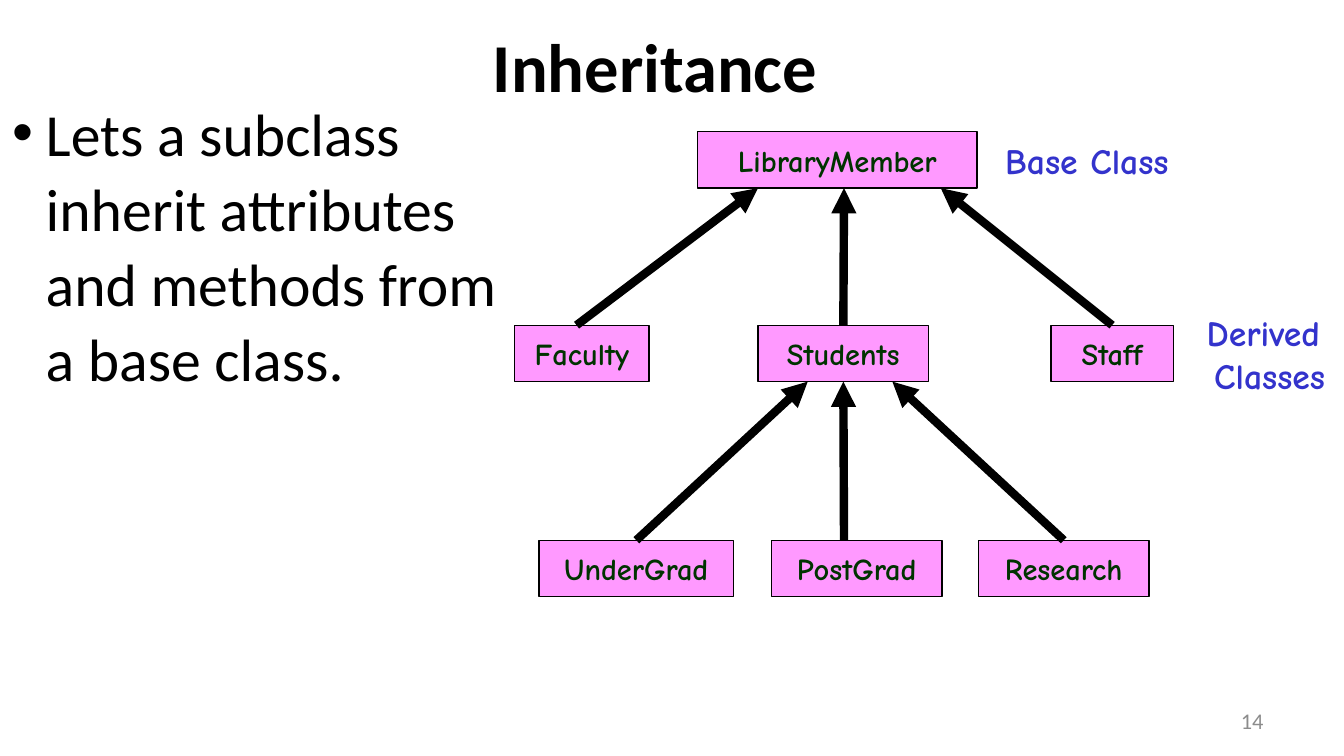
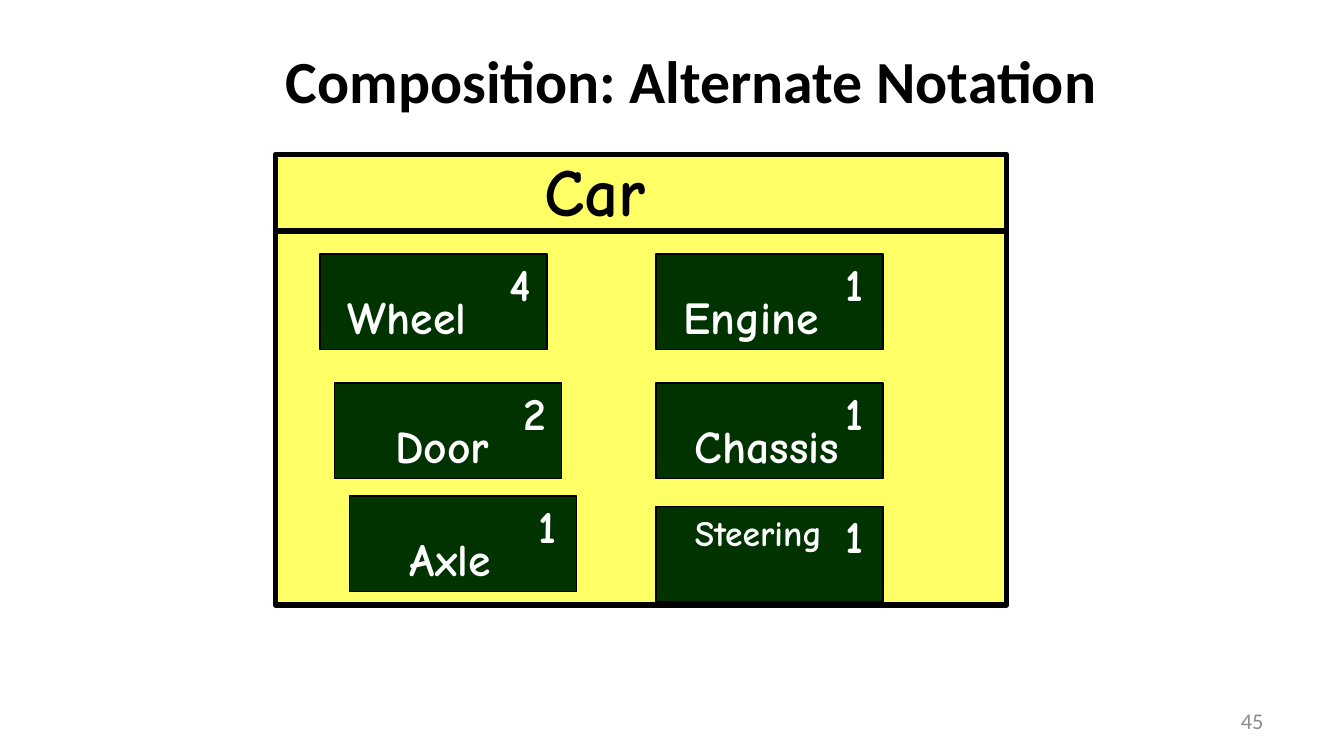
from lxml import etree
from pptx import Presentation
from pptx.dml.color import RGBColor
from pptx.enum.shapes import MSO_CONNECTOR, MSO_SHAPE
from pptx.enum.text import MSO_ANCHOR, MSO_AUTO_SIZE, PP_ALIGN
from pptx.oxml.ns import qn
from pptx.util import Inches, Pt

CENTER, RIGHT, LEFT = PP_ALIGN.CENTER, PP_ALIGN.RIGHT, PP_ALIGN.LEFT
MIDDLE, TOP = MSO_ANCHOR.MIDDLE, MSO_ANCHOR.TOP
RECTANGLE, STRAIGHT = MSO_SHAPE.RECTANGLE, MSO_CONNECTOR.STRAIGHT
NO_FIT = MSO_AUTO_SIZE.NONE

WIDTH = 10
HEIGHT = WIDTH * 9 / 16
BLACK, WHITE, GREY = "000000", "FFFFFF", "8C8C8C"
PINK, GREEN, BLUE, YELLOW = "FF99FF", "003300", "3333CC", "FFFF66"
HEADING, HAND = "Calibri", "Comic Neue"
NUMBER_AREA = (7.17, 5.21, 2.33, 0.3)
TIGHT = (0.01, 0.04, 0.01, 0.04)
NORMAL = (0.1, 0.05, 0.1, 0.05)
FLUSH = (0, 0, 0, 0)

INHERITANCE = "Inheritance"
DEFINITION = "Lets a subclass inherit attributes and methods from a base class."
LEVEL_TOPS = (0.98, 2.42, 4.02)
CLASS_HEIGHT = 0.42
CLASSES = [
    ("LibraryMember", 0, 5.19, 2.08),
    ("Faculty", 1, 3.83, 1),
    ("Students", 1, 5.64, 1.27),
    ("Staff", 1, 7.82, 0.91),
    ("UnderGrad", 2, 4.01, 1.45),
    ("PostGrad", 2, 5.74, 1.27),
    ("Research", 2, 7.28, 1.27),
]
LINKS = [
    ("Faculty", 4.29, "LibraryMember", 5.64),
    ("Students", None, "LibraryMember", 6.28),
    ("Staff", None, "LibraryMember", 7),
    ("UnderGrad", None, "Students", 6.01),
    ("PostGrad", 6.28, "Students", None),
    ("Research", None, "Students", 6.64),
]
CLASS_NOTES = [(" Base Class", 0, 7.54), ("Derived\n Classes", 1, 8.9)]

COMPOSITION = "Composition: Alternate Notation"
CAR = (2.05, 1.15, 5.44, 3.35)
CAR_DIVIDER = 1.72
PART_SIZE = (1.69, 0.71)
LABEL_OFFSET = (0.11, 0.29)
COUNT_OFFSET = (1.31, 0.04)
PARTS = [
    ("Wheel", "4", 2.38, 1.89, {}),
    ("Engine", "1", 4.88, 1.89, {}),
    ("Door", "2", 2.49, 2.85, {"indent": 0.24}),
    ("Chassis", "1", 4.88, 2.85, {"indent": 0.24, "offset": (-0.05, 0.29)}),
    ("Axle", "1", 2.6, 3.69, {"indent": 0.24}),
    ("Steering", "1", 4.88, 3.77, {"indent": 0.19, "offset": (0, 0.04), "size": 19.1}),
]


def color(value):
    return RGBColor.from_string(value)


def place(shape, area):
    shape.left, shape.top, shape.width, shape.height = map(Inches, area)


def write(shape, text, font=HAND, size=16.3, fill=BLACK, bold=True, align=LEFT,
          anchor=TOP, insets=NORMAL, wrap=True, line=None, before=None):
    frame = shape.text_frame
    frame.auto_size = NO_FIT
    frame.word_wrap = wrap
    frame.vertical_anchor = anchor
    (frame.margin_left, frame.margin_top,
     frame.margin_right, frame.margin_bottom) = map(Inches, insets)
    frame.text = text
    for para in frame.paragraphs:
        para.alignment = align
        if line:
            para.line_spacing = line
        if before is not None:
            para.space_before = Pt(before)
        for span in para.runs:
            span.font.name = font
            span.font.size = Pt(size)
            span.font.bold = bold
            span.font.color.rgb = color(fill)
    return shape


def add_text(page, area, text, **style):
    return write(page.shapes.add_textbox(*map(Inches, area)), text, **style)


def add_box(page, area, fill, weight=0.75):
    box = page.shapes.add_shape(RECTANGLE, *map(Inches, area))
    box.shadow.inherit = False
    box.fill.solid()
    box.fill.fore_color.rgb = color(fill)
    box.line.color.rgb = color(BLACK)
    box.line.width = Pt(weight)
    return box


def add_line(page, start, end, weight, arrow=False):
    link = page.shapes.add_connector(STRAIGHT, *map(Inches, (*start, *end)))
    link.line.color.rgb = color(BLACK)
    link.line.width = Pt(weight)
    if arrow:
        outline = link.line._get_or_add_ln()
        etree.SubElement(outline, qn("a:tailEnd"), type="triangle")
    etree.SubElement(link._element.spPr, qn("a:effectLst"))
    return link


def add_page(deck, layout, title, area, number, **style):
    page = deck.slides.add_slide(deck.slide_layouts[layout])
    place(page.shapes.title, area)
    write(page.shapes.title, title, font=HEADING, align=CENTER, anchor=MIDDLE, **style)
    add_text(page, NUMBER_AREA, number, font=HEADING, size=12, fill=GREY,
             bold=False, align=RIGHT, anchor=MIDDLE)
    return page


def add_inheritance(deck):
    page = add_page(deck, 1, INHERITANCE, (1.69, 0.05, 6.37, 0.93), "14",
                    size=36.7, insets=TIGHT, line=0.94, before=9.3)
    body = page.placeholders[1]
    place(body, (0.08, 0.65, 3.66, 3.91))
    write(body, DEFINITION, font=HEADING, size=32, bold=False, insets=TIGHT,
          line=1.05, before=4.8)
    bullet = body.text_frame.paragraphs[0]._p.get_or_add_pPr()
    bullet.set("marL", str(Inches(0.25)))
    bullet.set("indent", str(-Inches(0.25)))
    etree.SubElement(bullet, qn("a:buChar"), char="•")

    label = {"align": CENTER, "anchor": MIDDLE, "insets": FLUSH, "wrap": False}
    boxes, centers, tops = {}, {}, {}
    for name, level, left, width in CLASSES:
        tops[name] = LEVEL_TOPS[level]
        centers[name] = left + width / 2
        boxes[name] = add_box(page, (left, tops[name], width, CLASS_HEIGHT), PINK)
        write(boxes[name], name, fill=GREEN, **label)
    for child, start, parent, end in LINKS:
        link = add_line(page, (start or centers[child], tops[child]),
                        (end or centers[parent], tops[parent] + CLASS_HEIGHT),
                        4.5, arrow=True)
        if start is None:
            link.begin_connect(boxes[child], 0)
        if end is None:
            link.end_connect(boxes[parent], 2)
    for text, level, left in CLASS_NOTES:
        add_text(page, (left, LEVEL_TOPS[level], 1, CLASS_HEIGHT), text,
                 size=19.1, fill=BLUE, **label)


def add_part(page, name, count, left, top, indent=0, offset=LABEL_OFFSET, size=24.5):
    add_box(page, (left, top, *PART_SIZE), GREEN)
    style = {"fill": WHITE, "line": 0.8}
    add_text(page, (left + offset[0], top + offset[1], PART_SIZE[0], 0.32), name,
             size=size, insets=(0.1 + indent, 0.05, 0, 0.05), **style)
    add_text(page, (left + COUNT_OFFSET[0], top + COUNT_OFFSET[1], 0.71, 0.32),
             count, size=24.5, **style)


def add_composition(deck):
    page = add_page(deck, 5, COMPOSITION, (1.77, 0.13, 6.75, 0.93), "45", size=32)
    add_box(page, CAR, YELLOW, weight=3)
    left, _, width, _ = CAR
    add_line(page, (left, CAR_DIVIDER), (left + width, CAR_DIVIDER), 3)
    add_text(page, (3.98, 1.07, 0.99, 0.68), "Car", size=36,
             insets=(0.07, 0.04, 0.07, 0.04), wrap=False)
    for name, count, left, top, style in PARTS:
        add_part(page, name, count, left, top, **style)


def main():
    deck = Presentation()
    deck.slide_width, deck.slide_height = Inches(WIDTH), Inches(HEIGHT)
    add_inheritance(deck)
    add_composition(deck)
    deck.save("out.pptx")


if __name__ == "__main__":
    main()
